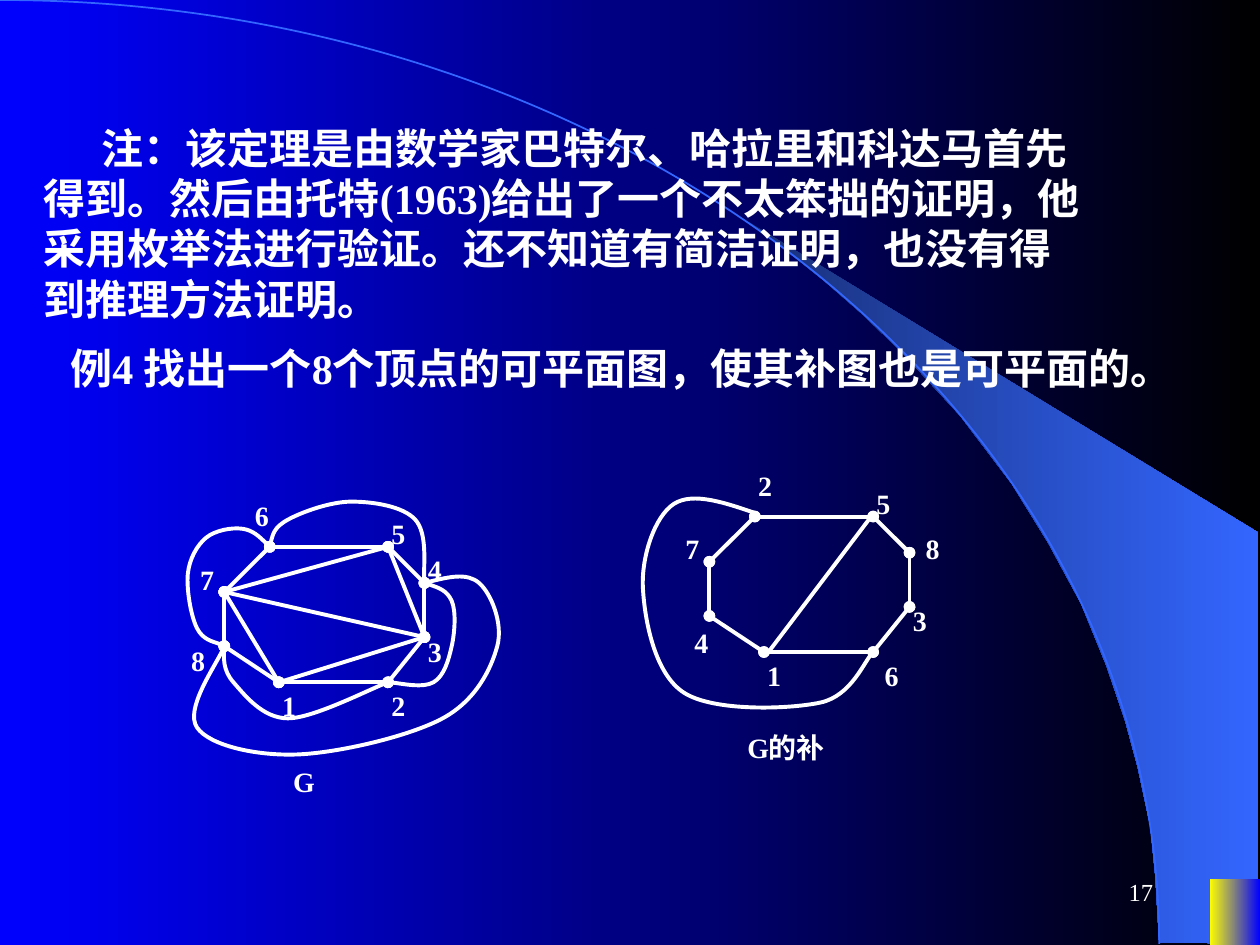
from dataclasses import dataclass

from lxml.etree import SubElement
from pptx import Presentation
from pptx.dml.color import RGBColor
from pptx.enum.shapes import MSO_CONNECTOR as Connector, MSO_SHAPE as Preset
from pptx.enum.text import MSO_ANCHOR as Anchor, MSO_AUTO_SIZE as AutoSize, PP_ALIGN as Align
from pptx.oxml.ns import qn
from pptx.util import Inches, Pt

Point = tuple[float, float]

WIDTH, HEIGHT = 10, 7.5
FONT = "Times New Roman"
WHITE, BLUE, SKY, NAVY, YELLOW, BLACK = "FFFFFF", "0000FF", "3366FF", "182F76", "FFFF00", "000000"
COLUMN, ROW = 1.3 / 18, 0.43 / 6
OCTAGON = [(5, 0), (18, 0), (22, 4), (22, 10), (18, 15), (6, 15), (0, 11), (0, 5)]


@dataclass(frozen=True)
class Curve:
    knots: list[Point]
    dotted: bool = True


@dataclass(frozen=True)
class Label:
    text: str
    column: float
    row: float
    width: float = 0.3


@dataclass(frozen=True)
class Graph:
    left: float
    top: float
    chords: list[tuple[Point, Point]]
    plain_lines: list[tuple[Point, Point]]
    curves: list[Curve]
    labels: list[Label]

    def place(self, point: Point) -> Point:
        return self.left + point[0] * COLUMN, self.top + point[1] * ROW


GRAPH = Graph(
    left=1.78, top=4.34,
    chords=[((0, 5), (18, 0)), ((0, 5), (6, 15)), ((6, 15), (22, 10)),
            ((18, 0), (22, 10)), ((0, 5), (22, 10))],
    plain_lines=[],
    curves=[
        Curve([(22, 4), (28, 4), (30, 11), (24, 19), (8, 23), (-3, 20), (0, 11)]),
        Curve([(5, 0), (7, -3), (14, -5), (21, -3), (22, 4)]),
        Curve([(5, 0), (2, -2), (-2, -1), (-4, 3), (-3, 9), (0, 11)]),
        Curve([(22, 4), (25, 6), (25, 11), (23, 15), (18, 15)]),
        Curve([(0, 11), (1, 15), (7, 19), (18, 15)], dotted=False),
    ],
    labels=[Label("7", -4, 1), Label("6", 2, -6), Label("5", 17, -4), Label("4", 21, 0),
            Label("3", 21, 9), Label("2", 17, 15), Label("1", 5, 15), Label("8", -5, 10),
            Label("G", 6.2, 23.4, 0.6)],
)
COMPLEMENT = Graph(
    left=5.63, top=4.1,
    chords=[],
    plain_lines=[((18, -0.3), (6.5, 15))],
    curves=[Curve([(5.3, -0.3), (-3.9, -1.4), (-7.3, 7.9), (-2.8, 19.5),
                   (12.2, 20.6), (18, 15)], dotted=False)],
    labels=[Label("7", -4, 1), Label("6", 17.9, 15), Label("5", 17, -4), Label("4", -3, 11.4),
            Label("3", 21, 9), Label("2", 4, -6), Label("1", 5, 15), Label("8", 22.4, 1),
            Label("G的补", 2.8, 23, 1.08)],
)
CRESCENT = [(9.2, 7.48), (9.99, 7.49), (9.99, 4.23), (5.89, 1.73), (6.24, 1.99), (6.53, 2.22),
            (6.85, 2.5), (7.16, 2.8), (7.62, 3.3), (8.03, 3.84), (8.32, 4.31), (8.58, 4.79),
            (8.78, 5.28), (8.93, 5.72), (9.03, 6.09), (9.13, 6.56), (9.17, 6.96)]
ARC = [(0, 0), (5.08, 0), (9.2, 3.35), (9.2, 7.49)]


def color(value: str) -> RGBColor:
    return RGBColor.from_string(value)


def set_gradient(fill, first: str, last: str) -> None:
    fill.gradient()
    fill.gradient_angle = 0
    for stop, value in zip(fill.gradient_stops, (first, last)):
        stop.color.rgb = color(value)


def set_line(shape, value: str, width: float, dotted: bool = False) -> None:
    shape.line.color.rgb = color(value)
    shape.line.width = Pt(width)
    if dotted:
        for end in ("a:headEnd", "a:tailEnd"):
            SubElement(shape.line._get_or_add_ln(), qn(end), type="oval")


def smooth_controls(knots: list[Point]) -> list[Point]:
    points = [knots[0]]
    for index in range(len(knots) - 1):
        start, end = knots[index], knots[index + 1]
        after = knots[min(index + 2, len(knots) - 1)]
        second = tuple(e - (a - s) / 6 for s, e, a in zip(start, end, after))
        if index:
            before = knots[index - 1]
            first = tuple(s + (e - b) / 6 for b, s, e in zip(before, start, end))
        else:
            first = tuple((s + c) / 2 for s, c in zip(start, second))
        points += [first, second, end]
    return points


def add_outline(shapes, points: list[Point], close: bool = False):
    corners = [(Inches(x), Inches(y)) for x, y in points]
    builder = shapes.build_freeform(*corners[0], scale=1.0)
    builder.add_line_segments(corners[1:], close=close)
    shape = builder.convert_to_shape()
    shape.shadow.inherit = False
    shape.fill.background()
    return shape


def add_curve(shapes, controls: list[Point]):
    shape = add_outline(shapes, controls)
    path = next(shape._element.iter(qn("a:path")))
    segments = path.findall(qn("a:lnTo"))
    for index in range(0, len(segments), 3):
        cubic = SubElement(path, qn("a:cubicBezTo"))
        for segment in segments[index:index + 3]:
            cubic.append(segment[0])
            path.remove(segment)
    return shape


def add_edge(shapes, start: Point, end: Point, dotted: bool) -> None:
    edge = shapes.add_connector(Connector.STRAIGHT, *(Inches(v) for v in (*start, *end)))
    SubElement(edge._element.spPr, qn("a:effectLst"))
    set_line(edge, WHITE, 2.25, dotted)


def add_text(shapes, text: str, left: float, top: float, width: float, height: float,
             size: int, bold: bool = True):
    box = shapes.add_textbox(*(Inches(v) for v in (left, top, width, height)))
    box.text_frame.word_wrap = True
    box.text_frame.auto_size = AutoSize.SHAPE_TO_FIT_TEXT
    box.text_frame.text = text
    font = box.text_frame.paragraphs[0].runs[0].font
    font.name, font.size, font.bold = FONT, Pt(size), bold
    font.color.rgb = color(WHITE)
    return box.text_frame


def add_statement(shapes, text: str, left: float, top: float, width: float, height: float,
                  right_inset: float = 0.1) -> None:
    frame = add_text(shapes, text, left, top, width, height, 24)
    frame.margin_right = Inches(right_inset)
    paragraph = frame.paragraphs[0]
    paragraph.space_before = Pt(15)
    paragraph._p.get_or_add_pPr().set("indent", str(Inches(0.46)))


def add_graph(slide, graph: Graph) -> None:
    shapes = slide.shapes.add_group_shape().shapes
    sides = list(zip(OCTAGON, OCTAGON[1:] + OCTAGON[:1]))
    for lines, dotted in ((sides + graph.chords, True), (graph.plain_lines, False)):
        for start, end in lines:
            add_edge(shapes, graph.place(start), graph.place(end), dotted)
    for curve in graph.curves:
        controls = [graph.place(point) for point in smooth_controls(curve.knots)]
        set_line(add_curve(shapes, controls), WHITE, 2.25, curve.dotted)
    for label in graph.labels:
        add_text(shapes, label.text, *graph.place((label.column, label.row)), label.width, 0.37, 16)


def add_backdrop(slide) -> None:
    set_gradient(slide.background.fill, BLUE, BLACK)
    crescent = add_outline(slide.shapes, CRESCENT, close=True)
    set_gradient(crescent.fill, NAVY, SKY)
    crescent.line.fill.background()
    set_line(add_curve(slide.shapes, ARC), SKY, 1)
    corner = slide.shapes.add_shape(Preset.RECTANGLE, Inches(WIDTH - 0.4), Inches(HEIGHT - 0.52),
                                    Inches(0.4), Inches(0.52))
    corner.shadow.inherit = False
    set_gradient(corner.fill, YELLOW, BLUE)
    corner.line.fill.background()


def main() -> None:
    presentation = Presentation()
    presentation.slide_width, presentation.slide_height = Inches(WIDTH), Inches(HEIGHT)
    slide = presentation.slides.add_slide(presentation.slide_layouts[6])
    add_backdrop(slide)
    number = add_text(slide.shapes, "17", 7.17, 6.83, 2.08, 0.5, 14, bold=False)
    number.auto_size = AutoSize.NONE
    number.vertical_anchor = Anchor.MIDDLE
    number.paragraphs[0].alignment = Align.RIGHT
    add_statement(slide.shapes, "注：该定理是由数学家巴特尔、哈拉里和科达马首先得到。然后由托特(1963)给出了一个"
                  "不太笨拙的证明，他采用枚举法进行验证。还不知道有简洁证明，也没有得到推理方法证明。",
                  0.25, 0.92, 8.5, 1.7)
    add_statement(slide.shapes, "例4 找出一个8个顶点的可平面图，使其补图也是可平面的。",
                  0, 2.67, 9.58, 0.5, right_inset=0.35)
    for graph in (GRAPH, COMPLEMENT):
        add_graph(slide, graph)
    presentation.save("out.pptx")


if __name__ == "__main__":
    main()
